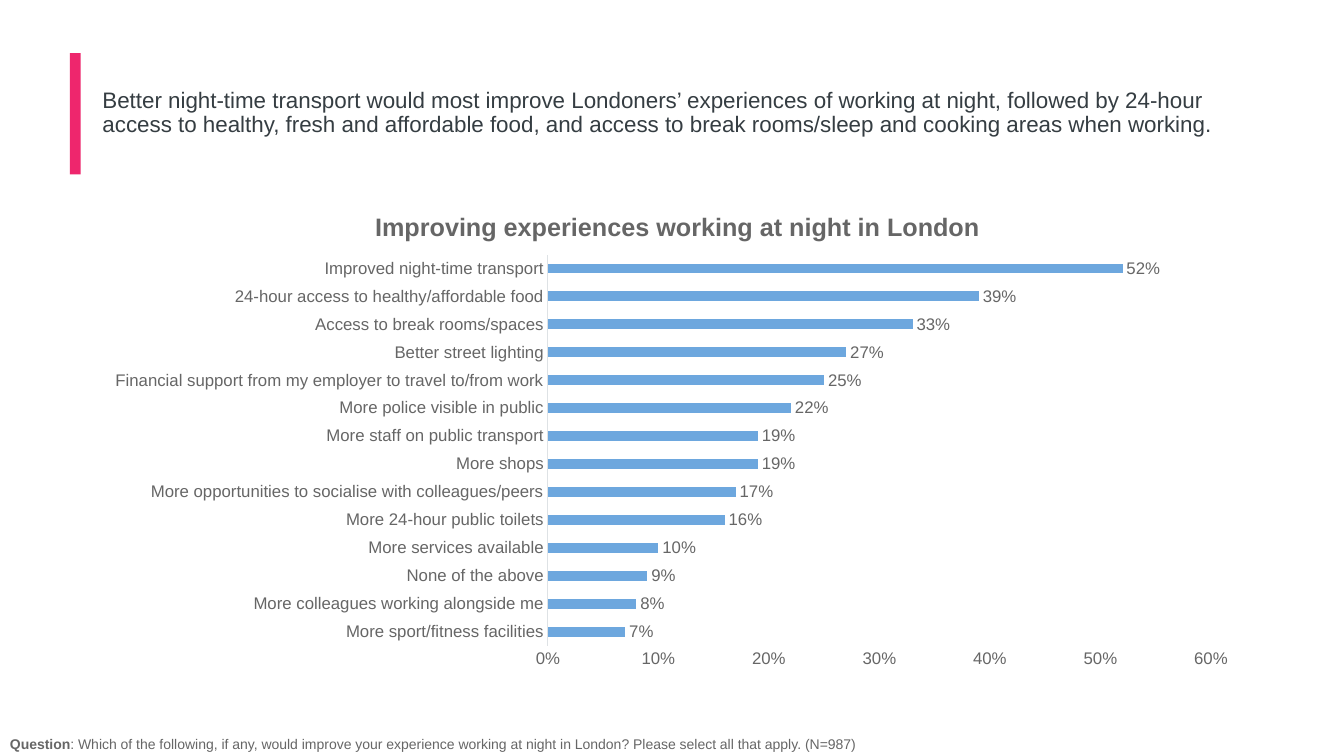
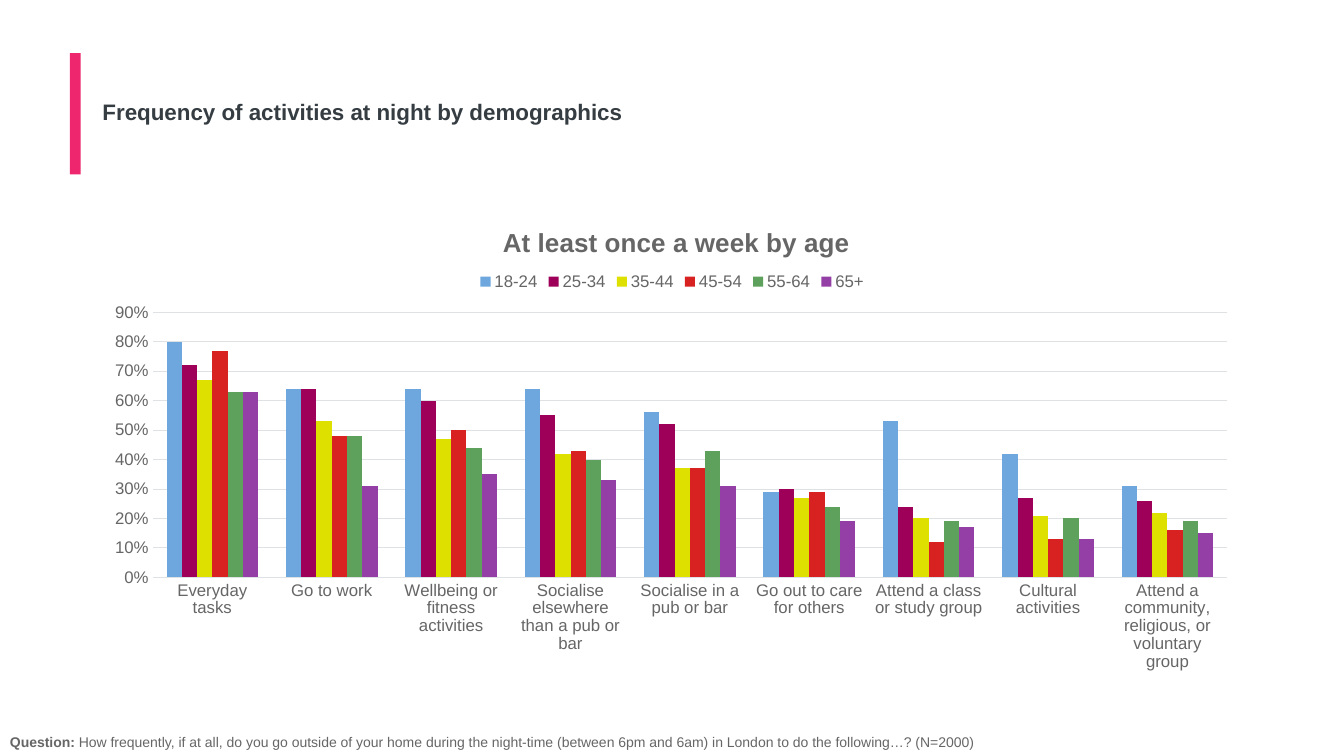
import pptx
import pptx.chart.data
import pptx.dml.color
import pptx.enum.chart
import pptx.enum.shapes
import pptx.enum.text
import pptx.oxml
import pptx.oxml.ns
import pptx.util

Pt = pptx.util.Pt
FONT = "Arial"
PINK = "EE266D"
TITLE_INK = "353D42"
GREY = "666666"
RULE = "DEE2E5"
SERIES_COLOURS = ["6DA7DE", "9E0059", "DEE000", "D82222", "5EA15D", "943FA6"]
CONTENT_LEFT, CONTENT_WIDTH = 66, 828

IMPROVEMENTS = [
    ("Improved night-time transport", 0.52),
    ("24-hour access to healthy/affordable food", 0.39),
    ("Access to break rooms/spaces", 0.33),
    ("Better street lighting", 0.27),
    ("Financial support from my employer to travel to/from work", 0.25),
    ("More police visible in public", 0.22),
    ("More staff on public transport", 0.19),
    ("More shops", 0.19),
    ("More opportunities to socialise with colleagues/peers", 0.17),
    ("More 24-hour public toilets", 0.16),
    ("More services available", 0.10),
    ("None of the above", 0.09),
    ("More colleagues working alongside me", 0.08),
    ("More sport/fitness facilities", 0.07),
]

ACTIVITIES = [
    "Everyday tasks",
    "Go to work",
    "Wellbeing or fitness activities",
    "Socialise elsewhere than a pub or bar",
    "Socialise in a pub or bar",
    "Go out to care for others",
    "Attend a class or study group",
    "Cultural activities",
    "Attend a community, religious, or voluntary group",
]
ACTIVITY_BY_AGE = {
    "18-24": [0.80, 0.64, 0.64, 0.64, 0.56, 0.29, 0.53, 0.42, 0.31],
    "25-34": [0.72, 0.64, 0.60, 0.55, 0.52, 0.30, 0.24, 0.27, 0.26],
    "35-44": [0.67, 0.53, 0.47, 0.42, 0.37, 0.27, 0.20, 0.21, 0.22],
    "45-54": [0.77, 0.48, 0.50, 0.43, 0.37, 0.29, 0.12, 0.13, 0.16],
    "55-64": [0.63, 0.48, 0.44, 0.40, 0.43, 0.24, 0.19, 0.20, 0.19],
    "65+": [0.63, 0.31, 0.35, 0.33, 0.31, 0.19, 0.17, 0.13, 0.15],
}


def colour(hex_string):
    return pptx.dml.color.RGBColor.from_string(hex_string)


def style_font(font, size, ink=GREY, bold=False):
    font.name = FONT
    font.size = Pt(size)
    font.bold = bold
    font.color.rgb = colour(ink)


def add_page(deck, title, bold=False):
    """Add a slide with the pink bar and the title beside it."""
    page = deck.slides.add_slide(deck.slide_layouts[5])
    bar = page.shapes.add_shape(
        pptx.enum.shapes.MSO_SHAPE.RECTANGLE, Pt(50), Pt(38), Pt(7.7), Pt(86.5))
    bar.shadow.inherit = False
    bar.fill.solid()
    bar.fill.fore_color.rgb = colour(PINK)
    bar.line.fill.background()

    box = page.shapes.title
    box.left, box.top = Pt(CONTENT_LEFT), Pt(28.5)
    box.width, box.height = Pt(CONTENT_WIDTH), Pt(104.5)
    frame = box.text_frame
    frame.text = title
    frame.auto_size = pptx.enum.text.MSO_AUTO_SIZE.NONE
    frame.vertical_anchor = pptx.enum.text.MSO_ANCHOR.MIDDLE
    para = frame.paragraphs[0]
    para.alignment = pptx.enum.text.PP_ALIGN.LEFT
    para.line_spacing = 0.9
    style_font(para.font, 16, TITLE_INK, bold)
    return page


def add_question(page, top, label, question):
    box = page.shapes.add_textbox(Pt(0), Pt(top), Pt(730), Pt(19))
    box.text_frame.word_wrap = True
    para = box.text_frame.paragraphs[0]
    for text, bold in ((label, True), (question, False)):
        span = para.add_run()
        span.text = text
        style_font(span.font, 10, bold=bold)


def place_chart_part(chart, tag, **fractions):
    """Fix a part of the chart at fractions (x, y, w, h) of the chart's size."""
    part = chart.element.find(".//" + pptx.oxml.ns.qn(tag))
    for old in part.findall(pptx.oxml.ns.qn("c:layout")):
        part.remove(old)
    target = '<c:layoutTarget val="inner"/>' if tag == "c:plotArea" else ""
    modes = "".join(f'<c:{key}Mode val="edge"/>' for key in "xy")
    values = "".join(f'<c:{key} val="{value}"/>' for key, value in fractions.items())
    layout = pptx.oxml.parse_xml(
        f'<c:layout {pptx.oxml.ns.nsdecls("c")}><c:manualLayout>'
        f"{target}{modes}{values}</c:manualLayout></c:layout>")
    overlay = part.find(pptx.oxml.ns.qn("c:overlay"))
    if overlay is None:
        part.insert(0, layout)
    else:
        overlay.addprevious(layout)


def add_bar_chart(page, kind, top, height, title, title_size, categories, series,
                  maximum, number_format):
    data = pptx.chart.data.CategoryChartData(number_format=number_format)
    data.categories = categories
    for name, values in series.items():
        data.add_series(name, values)
    chart = page.shapes.add_chart(
        kind, Pt(CONTENT_LEFT), Pt(top), Pt(CONTENT_WIDTH), Pt(height), data).chart
    style_font(chart.font, 12)
    chart.has_legend = False

    chart.has_title = True
    frame = chart.chart_title.text_frame
    frame.text = title
    style_font(frame.paragraphs[0].font, title_size, bold=True)
    chart.chart_title.include_in_layout = False

    for axis in (chart.category_axis, chart.value_axis):
        axis.major_tick_mark = pptx.enum.chart.XL_TICK_MARK.NONE
        axis.minor_tick_mark = pptx.enum.chart.XL_TICK_MARK.NONE
        axis.has_major_gridlines = False
        style_font(axis.tick_labels.font, 12)
    style_rule(chart.category_axis.format.line)
    values = chart.value_axis
    values.format.line.fill.background()
    values.minimum_scale, values.maximum_scale, values.major_unit = 0, maximum, 0.1
    values.tick_labels.number_format = number_format
    values.tick_labels.number_format_is_linked = False

    plot = chart.plots[0]
    plot.gap_width = 182
    plot.overlap = 0
    plot.vary_by_categories = False
    for one, ink in zip(plot.series, SERIES_COLOURS):
        one.format.fill.solid()
        one.format.fill.fore_color.rgb = colour(ink)
        one.invert_if_negative = False
    return chart


def style_rule(line):
    line.color.rgb = colour(RULE)
    line.width = Pt(0.75)


def add_value_labels(chart, number_format):
    plot = chart.plots[0]
    plot.has_data_labels = True
    labels = plot.data_labels
    labels.show_value = True
    labels.position = pptx.enum.chart.XL_LABEL_POSITION.OUTSIDE_END
    labels.number_format = number_format
    labels.number_format_is_linked = False
    style_font(labels.font, 12)


def add_top_legend(chart):
    chart.has_legend = True
    chart.legend.position = pptx.enum.chart.XL_LEGEND_POSITION.TOP
    chart.legend.include_in_layout = False
    style_font(chart.legend.font, 12)


def add_improvements_page(deck):
    page = add_page(
        deck,
        "Better night-time transport would most improve Londoners’ experiences of "
        "working at night, followed by 24-hour access to healthy, fresh and affordable "
        "food, and access to break rooms/sleep and cooking areas when working.")
    categories, shares = zip(*reversed(IMPROVEMENTS))
    chart = add_bar_chart(
        page, pptx.enum.chart.XL_CHART_TYPE.BAR_CLUSTERED, 133, 351.5,
        "Improving experiences working at night in London", 18,
        categories, {"Series 1": shares}, 0.6, "###0%")
    add_value_labels(chart, "###0%")
    place_chart_part(chart, "c:title", x=0.24, y=0.04)
    place_chart_part(chart, "c:plotArea", x=0.393, y=0.139, w=0.572, h=0.795)
    add_question(
        page, 522, "Question",
        ": Which of the following, if any, would improve your experience working at "
        "night in London? Please select all that apply. (N=987)")


def add_activities_page(deck):
    page = add_page(deck, "Frequency of activities at night by demographics", bold=True)
    chart = add_bar_chart(
        page, pptx.enum.chart.XL_CHART_TYPE.COLUMN_CLUSTERED, 144, 342.5,
        "At least once a week by age", 18.6, ACTIVITIES, ACTIVITY_BY_AGE, 0.9, "0%")
    chart.value_axis.has_major_gridlines = True
    style_rule(chart.value_axis.major_gridlines.format.line)
    add_top_legend(chart)
    place_chart_part(chart, "c:title", x=0.35, y=0.04)
    place_chart_part(chart, "c:legend", x=0.33, y=0.14)
    place_chart_part(chart, "c:plotArea", x=0.052, y=0.231, w=0.927, h=0.553)
    add_question(
        page, 520.5, "Question: ",
        "How frequently, if at all, do you go outside of your home during the night-time "
        "(between 6pm and 6am) in London to do the following…? (N=2000)")


def main():
    deck = pptx.Presentation()
    deck.slide_width, deck.slide_height = Pt(960), Pt(540)
    add_improvements_page(deck)
    add_activities_page(deck)
    deck.save("out.pptx")


if __name__ == "__main__":
    main()
